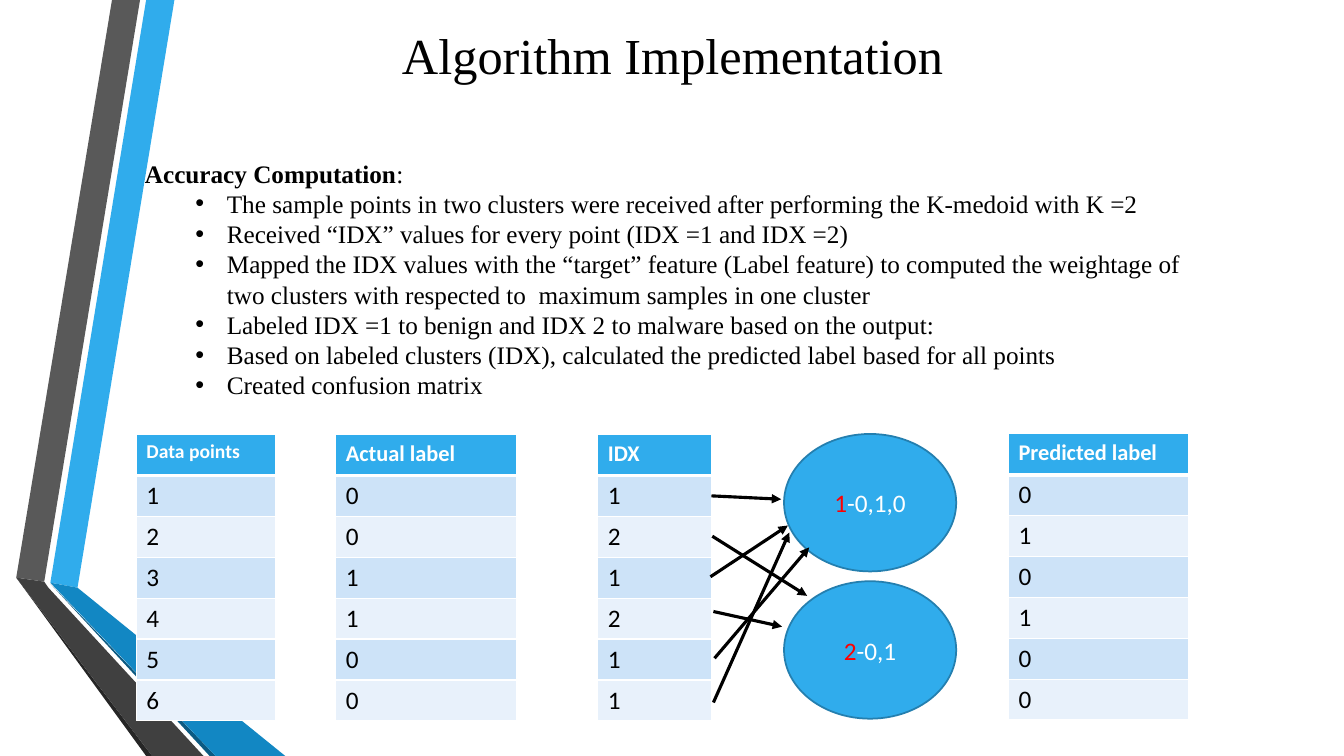
"""Build the Algorithm Implementation slide with its label tables and cluster mapping."""
from dataclasses import dataclass

from lxml import etree
from pptx import Presentation
from pptx.dml.color import RGBColor
from pptx.enum import shapes, text
from pptx.oxml import ns
from pptx.util import Pt

COLORS = {
    "black": "000000", "white": "FFFFFF", "red": "FF0000",
    "blue": "30ACEC", "outline": "247FAF", "deep": "1287C3", "navy": "0C5A82",
    "gray": "595959", "charcoal": "404040", "soot": "262626",
    "odd": "CDE3F8", "even": "E8F1FB",
}
SERIF, SANS = "Times New Roman", "Calibri"
ROW_HEIGHT = 29.2


@dataclass
class Ribbon:
    color: str
    corners: list[tuple[float, float]]


@dataclass
class LabelTable:
    header: str
    values: str
    left: float
    top: float
    width: float
    header_size: float = 16


@dataclass
class Cluster:
    index: str
    labels: str
    top: float


@dataclass
class Arrow:
    start: tuple[float, float]
    end: tuple[float, float]


RIBBONS = [
    Ribbon("blue", [(36, 416.2), (55.4, 419.8), (124.6, 0), (104.4, 0)]),
    Ribbon("gray", [(100, 0), (80, 0), (11.6, 412.6), (31.6, 415.5)]),
    Ribbon("soot", [(11.6, 412.6), (104.4, 540), (108.7, 540)]),
    Ribbon("navy", [(36, 416.9), (149.8, 540), (154.1, 540)]),
    Ribbon("deep", [(36, 416.2), (154.1, 540), (203.8, 540), (55.4, 419.8)]),
    Ribbon("charcoal", [(145.4, 540), (34.6, 419.8), (31.6, 415.5), (11.6, 412.6), (108.7, 540)]),
]
STEPS = [
    "The sample points in two clusters were received after performing the K-medoid with K =2",
    "Received “IDX” values for every point (IDX =1 and IDX =2)",
    "Mapped the IDX values with the “target” feature (Label feature) to computed the weightage of "
    "two clusters with respected to  maximum samples in one cluster",
    "Labeled IDX =1 to benign and IDX 2 to malware based on the output:",
    "Based on labeled clusters (IDX), calculated the predicted label based for all points",
    "Created confusion matrix",
]
TABLES = [
    LabelTable("IDX", "121211", 427, 310.5, 81.2),
    LabelTable("Predicted label", "010100", 720.3, 309.9, 128.7),
    LabelTable("Actual label", "001100", 239.8, 310.5, 128.9),
    LabelTable("Data points", "123456", 97.4, 310.5, 99.2, 14),
]
CLUSTERS = [Cluster("1", "-0,1,0", 310), Cluster("2", "-0,1", 415.2)]
ARROWS = [
    Arrow((508.2, 354.2), (558, 356.6)),
    Arrow((508.8, 383), (576.5, 425.6)),
    Arrow((507.5, 412), (562.8, 375.4)),
    Arrow((509.6, 436.8), (558.6, 447.6)),
    Arrow((510.4, 470.2), (578, 391)),
    Arrow((509.6, 501.8), (563.8, 380.4)),
]


def rgb(color: str) -> RGBColor:
    return RGBColor.from_string(COLORS[color])


def add_run(paragraph, words: str, size: float, font: str, color: str, bold: bool = False) -> None:
    run = paragraph.add_run()
    run.text = words
    run.font.size, run.font.name, run.font.bold = Pt(size), font, bold
    run.font.color.rgb = rgb(color)


def fill_cell(cell, words: str, size: float, color: str, fill: str, header: bool) -> None:
    cell.fill.solid()
    cell.fill.fore_color.rgb = rgb(fill)
    add_run(cell.text_frame.paragraphs[0], words, size, SANS, color, header)
    properties = cell._tc.get_or_add_tcPr()
    for position, side in enumerate(("lnL", "lnR", "lnT", "lnB")):
        border = etree.Element(ns.qn(f"a:{side}"), w=str(Pt(3 if header and side == "lnB" else 1)))
        solid = etree.SubElement(border, ns.qn("a:solidFill"))
        etree.SubElement(solid, ns.qn("a:srgbClr"), val=COLORS["white"])
        properties.insert(position, border)


def draw_ribbon(slide, ribbon: Ribbon) -> None:
    first, *others = [(Pt(x), Pt(y)) for x, y in ribbon.corners]
    builder = slide.shapes.build_freeform(*first)
    builder.add_line_segments(others, close=True)
    band = builder.convert_to_shape()
    band.shadow.inherit = False
    band.fill.solid()
    band.fill.fore_color.rgb = rgb(ribbon.color)
    band.line.fill.background()


def draw_title(slide) -> None:
    title = slide.shapes.title
    title.left, title.top, title.width, title.height = Pt(97.2), Pt(15.1), Pt(766.8), Pt(53.3)
    frame = title.text_frame
    frame.auto_size = text.MSO_AUTO_SIZE.NONE
    frame.vertical_anchor = text.MSO_ANCHOR.MIDDLE
    heading = frame.paragraphs[0]
    heading.alignment = text.PP_ALIGN.CENTER
    heading.line_spacing = 0.9
    add_run(heading, "Algorithm Implementation", 36, SERIF, "black")


def draw_steps(slide) -> None:
    frame = slide.shapes.add_textbox(Pt(96.5), Pt(87.8), Pt(767.5), Pt(247)).text_frame
    frame.word_wrap = True
    frame.margin_top = Pt(25)
    heading = frame.paragraphs[0]
    add_run(heading, "Accuracy Computation", 18, SERIF, "black", True)
    add_run(heading, ":", 18, SERIF, "black")
    for words in STEPS:
        step = frame.add_paragraph()
        step.level = 1
        add_run(step, words, 18, SERIF, "black")
        properties = step._p.get_or_add_pPr()
        properties.set("marL", str(Pt(58.5)))
        properties.set("indent", str(Pt(-22.5)))
        etree.SubElement(properties, ns.qn("a:buFont"), typeface="Arial")
        etree.SubElement(properties, ns.qn("a:buChar"), char="•")


def draw_table(slide, labels: LabelTable) -> None:
    rows = len(labels.values) + 1
    table = slide.shapes.add_table(
        rows, 1, Pt(labels.left), Pt(labels.top), Pt(labels.width), Pt(ROW_HEIGHT * rows)).table
    for row in table.rows:
        row.height = Pt(ROW_HEIGHT)
    fill_cell(table.cell(0, 0), labels.header, labels.header_size, "white", "blue", True)
    for number, value in enumerate(labels.values, 1):
        fill_cell(table.cell(number, 0), value, 18, "black", "odd" if number % 2 else "even", False)


def draw_cluster(slide, cluster: Cluster) -> None:
    oval = slide.shapes.add_shape(
        shapes.MSO_SHAPE.OVAL, Pt(560), Pt(cluster.top), Pt(123), Pt(98.2))
    oval.shadow.inherit = False
    oval.fill.solid()
    oval.fill.fore_color.rgb = rgb("blue")
    oval.line.color.rgb = rgb("outline")
    oval.line.width = Pt(1.25)
    oval.text_frame.vertical_anchor = text.MSO_ANCHOR.MIDDLE
    members = oval.text_frame.paragraphs[0]
    members.alignment = text.PP_ALIGN.CENTER
    add_run(members, cluster.index, 18, SANS, "red")
    add_run(members, cluster.labels, 18, SANS, "white")


def draw_arrow(slide, arrow: Arrow) -> None:
    ends = [Pt(value) for value in (*arrow.start, *arrow.end)]
    link = slide.shapes.add_connector(shapes.MSO_CONNECTOR.STRAIGHT, *ends)
    link.line.color.rgb = rgb("black")
    link.line.width = Pt(2.25)
    etree.SubElement(link.line._get_or_add_ln(), ns.qn("a:tailEnd"), type="triangle")
    etree.SubElement(link._element.spPr, ns.qn("a:effectLst"))


def main() -> None:
    deck = Presentation()
    deck.slide_width, deck.slide_height = Pt(960), Pt(540)
    slide = deck.slides.add_slide(deck.slide_layouts[5])
    for ribbon in RIBBONS:
        draw_ribbon(slide, ribbon)
    draw_steps(slide)
    draw_title(slide)
    for labels in TABLES:
        draw_table(slide, labels)
    for cluster in CLUSTERS:
        draw_cluster(slide, cluster)
    for arrow in ARROWS:
        draw_arrow(slide, arrow)
    deck.save("out.pptx")


if __name__ == "__main__":
    main()
